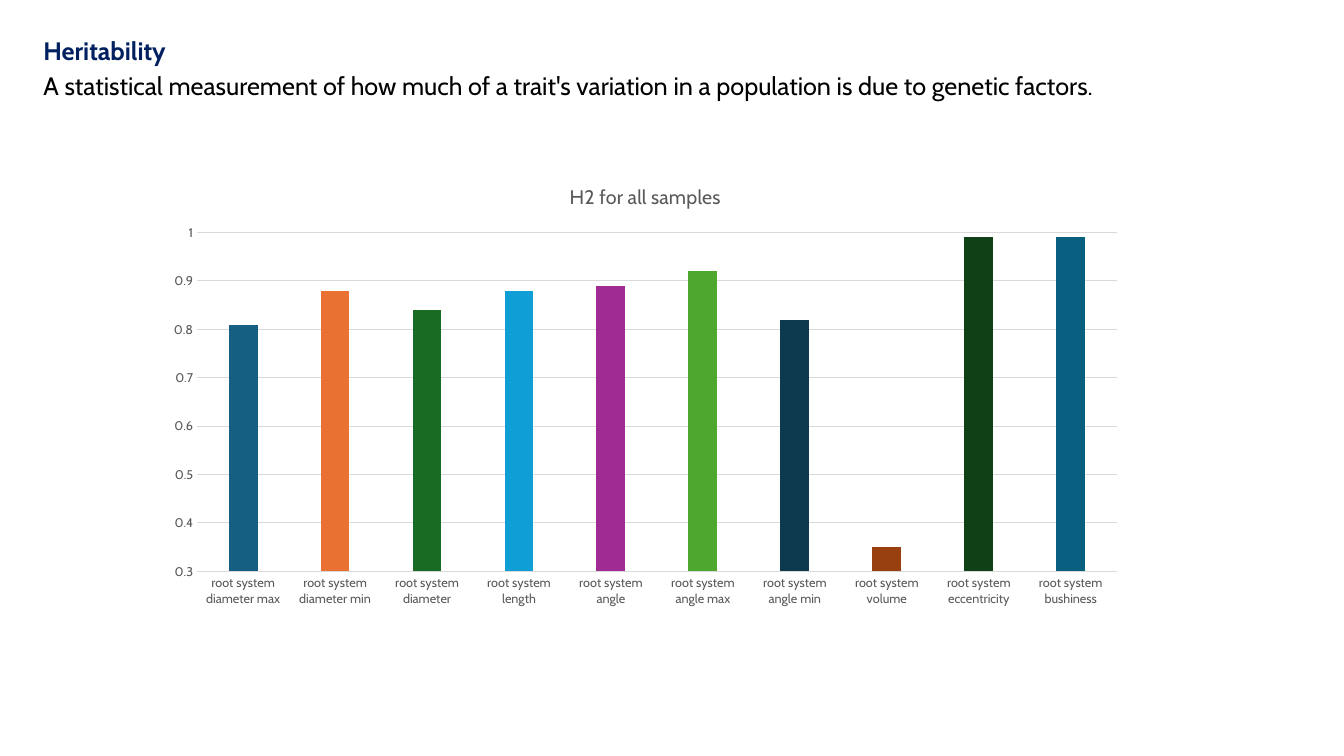
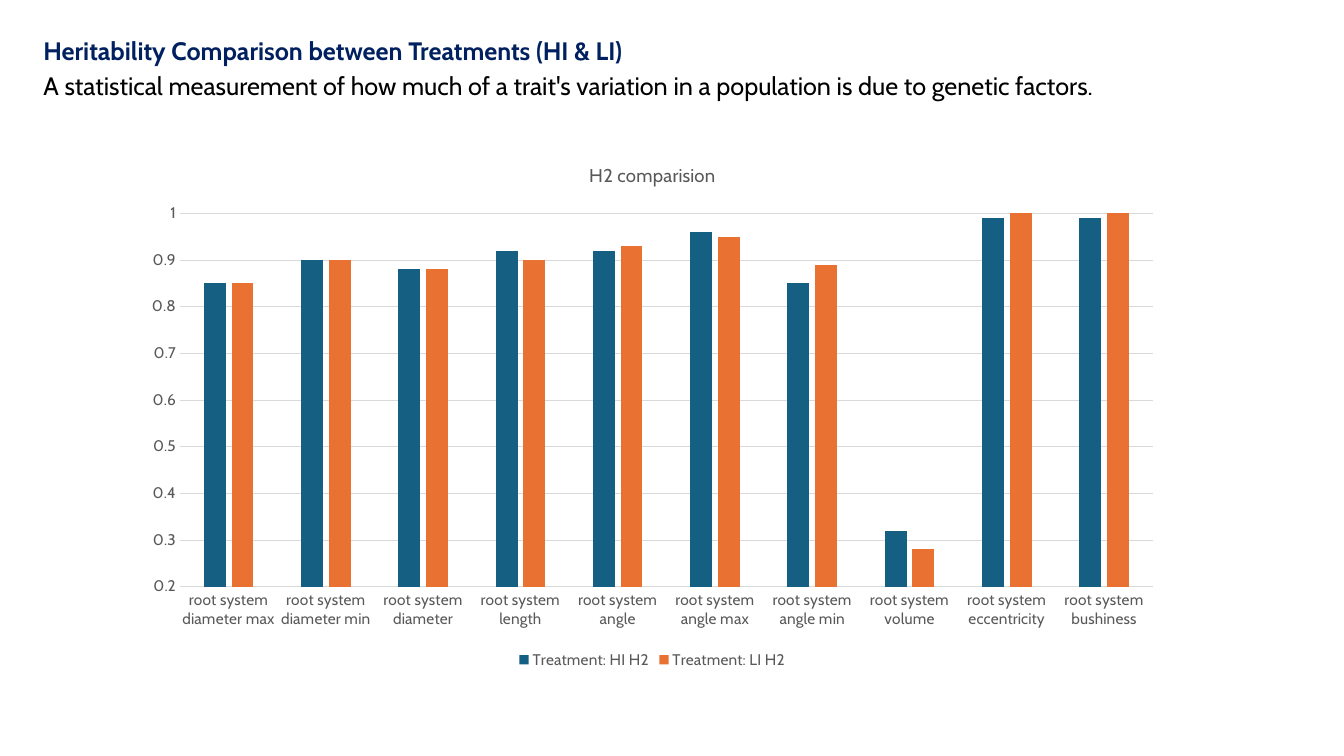
from pptx import Presentation
from pptx.chart.data import CategoryChartData
from pptx.dml.color import RGBColor
from pptx.enum.chart import XL_CHART_TYPE, XL_LEGEND_POSITION, XL_TICK_MARK
from pptx.enum.text import MSO_ANCHOR, MSO_AUTO_SIZE, PP_ALIGN
from pptx.util import Inches, Pt

FONT = "Cabin"
NAVY, BLACK, GREY, PALE = "002060", "000000", "595959", "D9D9D9"
BLUE, RUST = "156082", "E97132"
NOTE = ("A statistical measurement of how much of a trait's variation "
        "in a population is due to genetic factors.")
TRAITS = ["diameter max", "diameter min", "diameter", "length", "angle",
          "angle max", "angle min", "volume", "eccentricity", "bushiness"]
SLIDES = [
    {"head": "Heritability",
     "title": "H2 for all samples", "size": 14, "text": 9,
     "box": (1.53, 1.64, 9.74, 4.47), "low": 0.3,
     "rows": [("Series 1", BLUE,
               [0.81, 0.88, 0.84, 0.88, 0.89, 0.92, 0.82, 0.35, 0.99, 0.99])],
     "bars": [BLUE, RUST, "196B24", "0F9ED5", "A02B93",
              "4EA72E", "0D3A4E", "994010", "0F4016", "095F80"]},
    {"head": "Heritability Comparison between Treatments (HI & LI)",
     "title": "H2 comparision", "size": 13.2, "text": 11,
     "box": (1.3, 1.42, 10.34, 5.26), "low": 0.2,
     "rows": [("Treatment: HI H2", BLUE,
               [0.85, 0.9, 0.88, 0.92, 0.92, 0.96, 0.85, 0.32, 0.99, 0.99]),
              ("Treatment: LI H2", RUST,
               [0.85, 0.9, 0.88, 0.9, 0.93, 0.95, 0.89, 0.28, 1, 1])],
     "bars": []},
]


def paint(item, color):
    item.fill.solid()
    item.fill.fore_color.rgb = RGBColor.from_string(color)


def style(font, size, color=GREY, bold=False):
    font.name, font.size, font.bold = FONT, Pt(size), bold
    font.color.rgb = RGBColor.from_string(color)


def write(para, text, **look):
    run = para.add_run()
    run.text = text
    style(run.font, **look)


def rule(line):
    line.color.rgb = RGBColor.from_string(PALE)
    line.width = Pt(0.75)


def add_head(slide, text):
    head = slide.shapes.title
    head.left, head.top, head.width, head.height = map(
        Inches, (0.33, 0.33, 12.15, 0.73))
    frame = head.text_frame
    frame.word_wrap = True
    frame.auto_size = MSO_AUTO_SIZE.SHAPE_TO_FIT_TEXT
    frame.vertical_anchor = MSO_ANCHOR.TOP
    lines = [(text, NAVY, True), (NOTE, BLACK, False)]
    for i, (words, color, bold) in enumerate(lines):
        para = frame.add_paragraph() if i else frame.paragraphs[0]
        para.alignment = PP_ALIGN.LEFT
        para.line_spacing, para.space_after = 0.9, Pt(6)
        write(para, words, size=18, color=color, bold=bold)


def add_plot(slide, part):
    data = CategoryChartData()
    data.categories = [f"root system {trait}" for trait in TRAITS]
    for name, _, vals in part["rows"]:
        data.add_series(name, vals)
    chart = slide.shapes.add_chart(
        XL_CHART_TYPE.COLUMN_CLUSTERED, *map(Inches, part["box"]), data).chart
    style(chart.font, part["text"])

    chart.has_title = True
    write(chart.chart_title.text_frame.paragraphs[0], part["title"],
          size=part["size"])
    chart.chart_title.include_in_layout = False

    chart.has_legend = len(part["rows"]) > 1
    if chart.has_legend:
        chart.legend.position = XL_LEGEND_POSITION.BOTTOM
        chart.legend.include_in_layout = False
        style(chart.legend.font, part["text"])

    cats, vals = chart.category_axis, chart.value_axis
    for axis in (cats, vals):
        axis.major_tick_mark = axis.minor_tick_mark = XL_TICK_MARK.NONE
        style(axis.tick_labels.font, part["text"])
    rule(cats.format.line)
    vals.format.line.fill.background()
    vals.minimum_scale, vals.maximum_scale = part["low"], 1
    vals.major_unit = 0.1
    vals.tick_labels.number_format = "General"
    vals.tick_labels.number_format_is_linked = False
    rule(vals.major_gridlines.format.line)

    plot = chart.plots[0]
    plot.gap_width, plot.overlap = 219, -27
    plot.vary_by_categories = bool(part["bars"])
    for row, (_, color, _) in zip(plot.series, part["rows"]):
        paint(row.format, color)
        row.invert_if_negative = False
        for i, tint in enumerate(part["bars"]):
            paint(row.points[i].format, tint)


def main():
    deck = Presentation()
    deck.slide_width, deck.slide_height = Inches(13.33), Inches(7.5)
    for part in SLIDES:
        slide = deck.slides.add_slide(deck.slide_layouts[5])
        add_head(slide, part["head"])
        add_plot(slide, part)
    deck.save("out.pptx")


if __name__ == "__main__":
    main()
